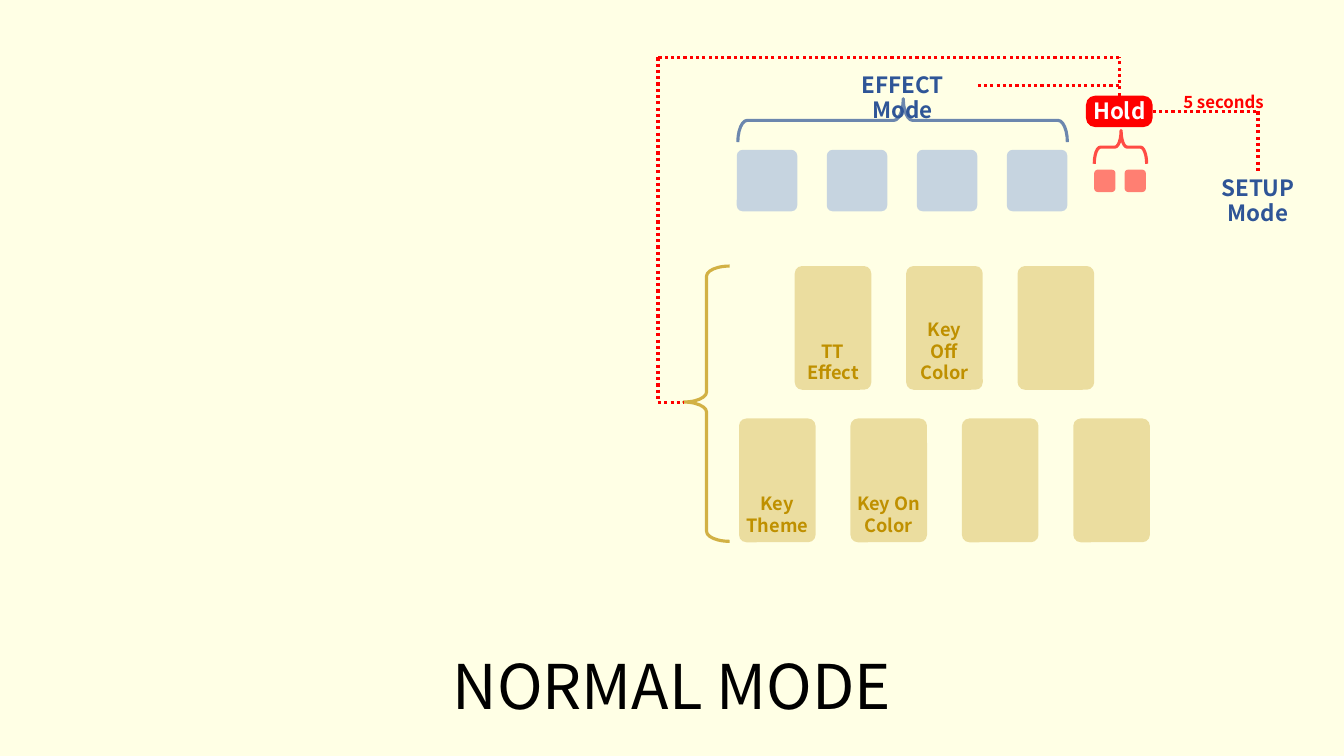
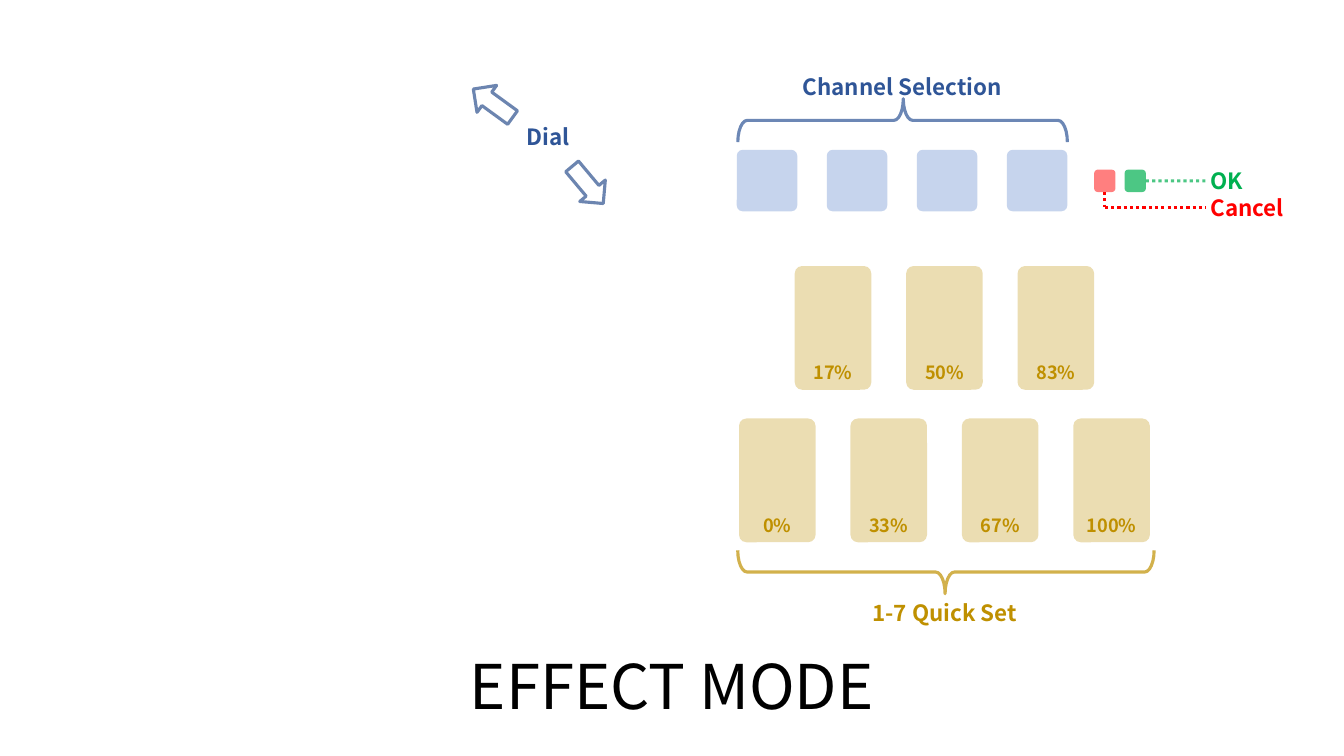
from pptx import Presentation
from pptx.dml.color import RGBColor
from pptx.enum import dml, shapes, text
from pptx.oxml.ns import qn
from pptx.util import Pt

FONT = "Noto Sans CJK SC"
CREAM = RGBColor(0xFF, 0xFF, 0xE5)
WHITE = RGBColor(0xFF, 0xFF, 0xFF)
BLACK = RGBColor(0x00, 0x00, 0x00)
RED = RGBColor(0xFF, 0x00, 0x00)
GREEN = RGBColor(0x00, 0xB0, 0x50)
GOLD = RGBColor(0xBF, 0x90, 0x00)
NAVY = RGBColor(0x2F, 0x55, 0x97)
ARROW_BLUE = RGBColor(0x2F, 0x52, 0x8F)
PAD_BLUE = RGBColor(0x8F, 0xAA, 0xDC)

SHAPE = shapes.MSO_SHAPE
ALIGN = text.PP_ALIGN
ANCHOR = text.MSO_ANCHOR

# Content: the labels of each key row, and the small buttons (colour, opacity)
NORMAL_MODE = {
    "title": "NORMAL MODE",
    "background": CREAM,
    "keys": [["TT\vEffect", "Key Off\vColor", ""],
             ["Key\vTheme", "Key On\vColor", "", ""]],
    "buttons": [(RED, 50), (RED, 50)],
}
EFFECT_MODE = {
    "title": "EFFECT MODE",
    "background": WHITE,
    "keys": [["17%", "50%", "83%"],
             ["0%", "33%", "67%", "100%"]],
    "buttons": [(RED, 50), (GREEN, 70)],
}

# Controller layout
PAD_COUNT, PAD_LEFT, PAD_TOP, PAD_PITCH = 4, 526.3, 107, 64.3
PAD_SIZE = (43.2, 43.9)
KEY_LEFT, KEY_TOPS, KEY_PITCH = 527.9, (190, 298.9), 79.6
KEY_SIZE = (54.7, 88.4)
BUTTON_LEFT, BUTTON_TOP, BUTTON_PITCH = 781.6, 121.2, 21.7
BUTTON_SIZE = (15.2, 16)
HOLD = (775.7, 68.4, 47.6, 22.4)
TOP, BOTTOM, RIGHT = 0, 2, 3


def set_opacity(shape, percent):
    for color in shape._element.spPr.iter(qn("a:srgbClr")):
        alpha = color.makeelement(qn("a:alpha"), {"val": str(percent * 1000)})
        color.append(alpha)


def write(shape, words, size, color, bold=True, align=ALIGN.CENTER,
          anchor=ANCHOR.TOP, margins=(2.9, 2.9), spacing=None):
    frame = shape.text_frame
    frame.word_wrap = True
    frame.vertical_anchor = anchor
    frame.margin_left = frame.margin_right = Pt(margins[0])
    frame.margin_top = frame.margin_bottom = Pt(margins[1])
    frame.text = words
    for paragraph in frame.paragraphs:
        paragraph.alignment = align
        paragraph.line_spacing = spacing
        font = paragraph.font
        font.name, font.size, font.bold = FONT, Pt(size), bold
        font.color.rgb = color


def add_label(slide, box, words, color, size=16, **style):
    label = slide.shapes.add_textbox(*map(Pt, box))
    write(label, words, size, color, **style)


def add_block(slide, box, color, opacity=100, corner=0.097):
    block = slide.shapes.add_shape(SHAPE.ROUNDED_RECTANGLE, *map(Pt, box))
    block.shadow.inherit = False
    block.adjustments[0] = corner
    block.fill.solid()
    block.fill.fore_color.rgb = color
    block.line.fill.background()
    set_opacity(block, opacity)
    return block


def add_outline(slide, kind, center, size, color, rotation=0, adjustments=()):
    left, top = (c - s / 2 for c, s in zip(center, size))
    outline = slide.shapes.add_shape(kind, *map(Pt, (left, top, *size)))
    outline.shadow.inherit = False
    outline.rotation = rotation
    for index, value in enumerate(adjustments):
        outline.adjustments[index] = value
    outline.fill.background()
    outline.line.color.rgb = color
    outline.line.width = Pt(2.25)
    set_opacity(outline, 70)


def add_route(slide, points, color, start=None, opacity=100):
    """Dotted line through the points; start is (shape, side) to join."""
    for index, (begin, end) in enumerate(zip(points, points[1:])):
        connector = slide.shapes.add_connector(
            shapes.MSO_CONNECTOR.STRAIGHT, *map(Pt, (*begin, *end)))
        if start and index == 0:
            connector.begin_connect(*start)
        connector.line.color.rgb = color
        connector.line.width = Pt(2.25)
        connector.line.dash_style = dml.MSO_LINE.ROUND_DOT
        properties = connector._element.spPr
        properties.append(properties.makeelement(qn("a:effectLst"), {}))
        set_opacity(connector, opacity)


def add_controller(presentation, mode):
    """Slide with title, pads, keys and buttons; returns it and the buttons."""
    slide = presentation.slides.add_slide(presentation.slide_layouts[6])
    slide.background.fill.solid()
    slide.background.fill.fore_color.rgb = mode["background"]
    add_label(slide, (0, 465, 960, 75), mode["title"], BLACK, 44,
              bold=False, margins=(7.2, 3.6), spacing=0.9)

    # Pads under their brace
    add_outline(slide, SHAPE.LEFT_BRACE, (644.7, 86), (31, 235.4), NAVY, 90,
                (0.217, 0.498))
    for column in range(PAD_COUNT):
        add_block(slide, (PAD_LEFT + column * PAD_PITCH, PAD_TOP, *PAD_SIZE),
                  PAD_BLUE, 50)

    # Keys: the shorter row is shifted by half a pitch
    longest = max(map(len, mode["keys"]))
    for top, row in zip(KEY_TOPS, mode["keys"]):
        left = KEY_LEFT + (longest - len(row)) * KEY_PITCH / 2
        for column, words in enumerate(row):
            key = add_block(slide, (left + column * KEY_PITCH, top, *KEY_SIZE),
                            GOLD, 30)
            if words:
                write(key, words, 13, GOLD, anchor=ANCHOR.BOTTOM)

    # Small buttons
    buttons = [
        add_block(slide, (BUTTON_LEFT + i * BUTTON_PITCH, BUTTON_TOP, *BUTTON_SIZE),
                  color, opacity, 0.167)
        for i, (color, opacity) in enumerate(mode["buttons"])]
    return slide, buttons


def build_normal_mode(presentation):
    slide, _ = add_controller(presentation, NORMAL_MODE)
    add_label(slide, (591, 49, 107.3, 23.8), "EFFECT Mode", NAVY, spacing=Pt(18))
    add_label(slide, (859, 122.4, 79.2, 41.8), "SETUP Mode", NAVY, spacing=Pt(18))
    add_label(slide, (836.6, 65.5, 74.9, 14.4), "5 seconds", RED, 12,
              margins=(0, 0))

    # Hold badge over the buttons
    add_outline(slide, SHAPE.LEFT_BRACE, (800.3, 105.1), (23.8, 37.4), RED, 90,
                (0.184, 0.488))
    hold = add_block(slide, HOLD, RED, corner=0.291)
    write(hold, "Hold", 16, WHITE, anchor=ANCHOR.MIDDLE, margins=(2.9, 0),
          spacing=Pt(18))

    # Key brace, and routes from the badge to each mode
    add_outline(slide, SHAPE.LEFT_BRACE, (504.7, 288.4), (33, 196.6), GOLD, 0,
                (0.217, 0.494))
    left, top, width, height = HOLD
    middle_x, middle_y = left + width / 2, top + height / 2
    add_route(slide, [(middle_x, top), (middle_x, 41), (470, 41),
                      (470, 287.3), (488.2, 287.3)], RED, (hold, TOP))
    add_route(slide, [(698.4, 61), (middle_x, 61)], RED)
    add_route(slide, [(left + width, middle_y), (898.6, middle_y),
                      (898.6, 122.4)], RED, (hold, RIGHT))


def build_effect_mode(presentation):
    slide, (cancel, ok) = add_controller(presentation, EFFECT_MODE)
    add_label(slide, (548, 49, 193, 25.2), "Channel Selection", NAVY)

    # Dial
    add_label(slide, (350.6, 85, 82, 25.2), "Dial", NAVY)
    for center, rotation in [((352.1, 73.8), 36), ((419.8, 132.1), 230)]:
        add_outline(slide, SHAPE.LEFT_ARROW, center, (34.6, 23.8), ARROW_BLUE,
                    rotation)

    # OK and Cancel
    label_left = 861.8
    for words, top, width, color in [("OK", 119.5, 35.3, GREEN),
                                     ("Cancel", 138.4, 62, RED)]:
        add_label(slide, (label_left, top, width, 19.4), words, color,
                  align=ALIGN.LEFT, margins=(2.9, 0))
    button_width, button_height = BUTTON_SIZE
    ok_y = BUTTON_TOP + button_height / 2
    add_route(slide, [(BUTTON_LEFT + BUTTON_PITCH + button_width, ok_y),
                      (label_left, ok_y)], GREEN, (ok, RIGHT), 70)
    cancel_x = BUTTON_LEFT + button_width / 2
    add_route(slide, [(cancel_x, BUTTON_TOP + button_height), (cancel_x, 148.2),
                      (label_left, 148.2)], RED, (cancel, BOTTOM))

    # Quick set
    add_outline(slide, SHAPE.LEFT_BRACE, (675.7, 408.6), (31, 297.4), GOLD, 270,
                (0.217, 0.498))
    add_label(slide, (592.6, 424.8, 164.2, 27.4), "1-7 Quick Set", GOLD)


def main():
    presentation = Presentation()
    presentation.slide_width, presentation.slide_height = Pt(960), Pt(540)
    build_normal_mode(presentation)
    build_effect_mode(presentation)
    presentation.save("out.pptx")


if __name__ == "__main__":
    main()
